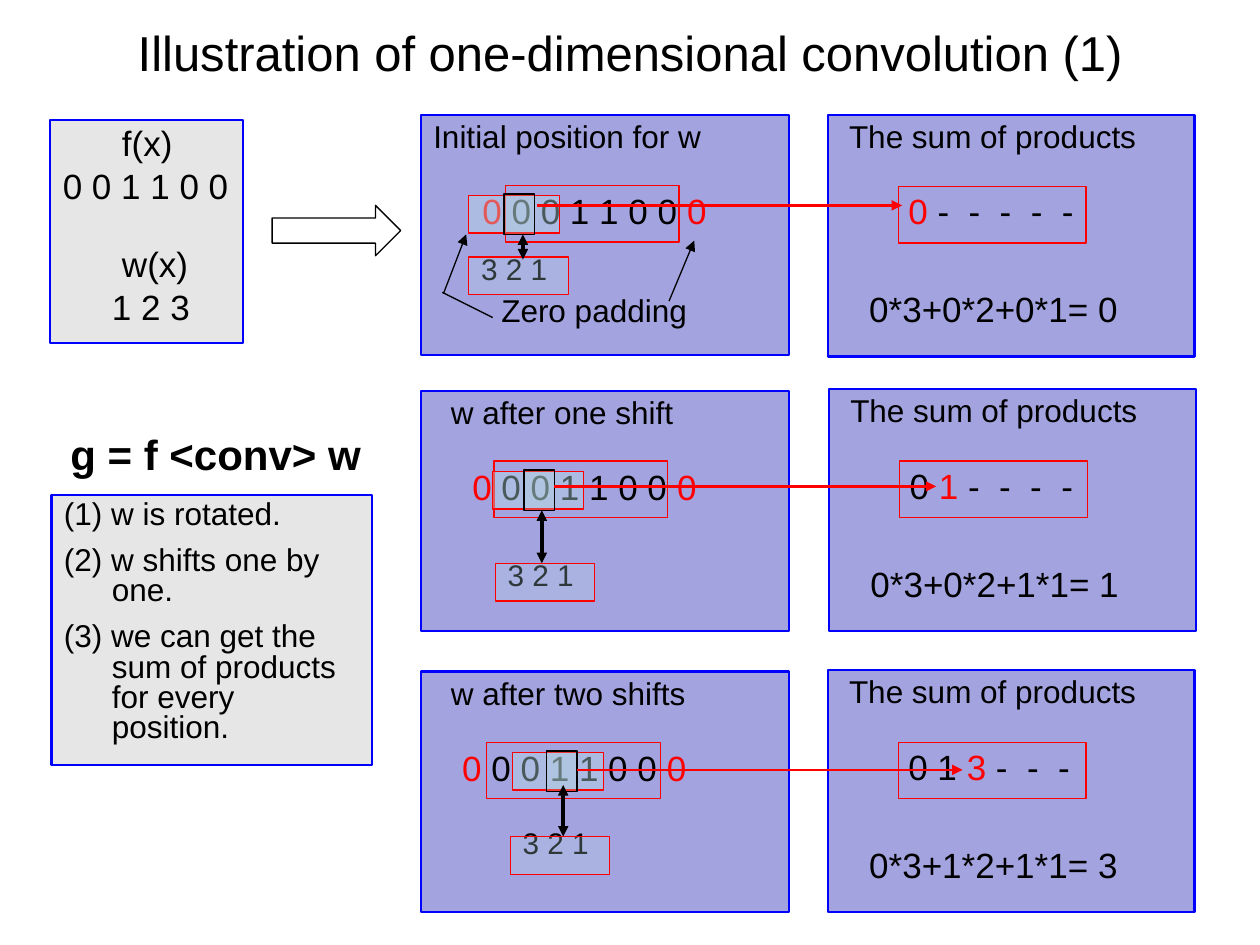
from dataclasses import dataclass
from typing import Optional

import pptx
import pptx.dml.color
import pptx.enum.shapes
import pptx.enum.text
import pptx.oxml
import pptx.oxml.ns
import pptx.util
from pptx.util import Inches

BLACK = pptx.dml.color.RGBColor(0x00, 0x00, 0x00)
RED = pptx.dml.color.RGBColor(0xFF, 0x00, 0x00)
BLUE = pptx.dml.color.RGBColor(0x00, 0x00, 0xFF)
GRAY = pptx.dml.color.RGBColor(0xE6, 0xE6, 0xE6)
LAVENDER = pptx.dml.color.RGBColor(0xA3, 0xA3, 0xE0)
AQUA = pptx.dml.color.RGBColor(0xBB, 0xE0, 0xE3)
RECT = pptx.enum.shapes.MSO_SHAPE.RECTANGLE


@dataclass(frozen=True)
class Step:
    heading: str
    heading_indent: float
    y: float
    signal_indent: float
    signal_x: float
    window_x: float
    cell_x: float
    kernel: tuple[float, float]
    kernel_text_y: float
    link: tuple[float, float, float]
    sum_at: tuple[float, float]
    done: str
    newest: str
    dashes: str
    formula: str
    arrow: tuple[float, float, float]
    note: str = ""


STEPS = [
    Step("Initial position for w", 0, 0.91, 0.39, 4.01, 3.72, 4.0,
         (3.72, 2.04), 2.04, (4.15, 1.86, 2.06), (6.57, 0.91),
         "", "0", "- - - - -", "0*3+0*2+0*1= 0", (4.26, 7.16, 1.63),
         "Zero padding"),
    Step("w after one shift", 0.14, 3.1, 0.31, 3.92, 3.91, 4.16,
         (3.93, 4.47), 4.47, (4.3, 4.05, 4.47), (6.58, 3.09),
         "0 ", "1", "- - - -", "0*3+0*2+1*1= 1", (4.4, 7.43, 3.86)),
    Step("w after two shifts", 0.14, 5.33, 0.23, 3.86, 4.07, 4.34,
         (4.05, 6.64), 6.6, (4.47, 6.23, 6.64), (6.57, 5.32),
         "0 1 ", "3", "- - -", "0*3+1*2+1*1= 3", (4.58, 7.64, 6.11)),
]


def add_text(tf, text: str, *, size: float = 20, color=BLACK, bold: bool = False,
             left: float = 0, hanging: float = 0, spacing: float = 0.8,
             before: float = 0, after: float = 0, align=None,
             tracking: float = 0, same_line: bool = False) -> None:
    if same_line:
        p = tf.paragraphs[-1]
    else:
        p = tf.paragraphs[0] if not tf.paragraphs[0].runs else tf.add_paragraph()
        pPr = p._p.get_or_add_pPr()
        pPr.set("marL", str(Inches(left)))
        pPr.set("indent", str(Inches(-hanging)))
        p.line_spacing = spacing
        p.space_before = pptx.util.Pt(before)
        p.space_after = pptx.util.Pt(after)
        p.alignment = align or pptx.enum.text.PP_ALIGN.LEFT
    r = p.add_run()
    r.text = text
    r.font.name = "Arial"
    r.font.size = pptx.util.Pt(size)
    r.font.bold = bold
    r.font.color.rgb = color
    if tracking:
        r._r.get_or_add_rPr().set("spc", str(round(tracking * 100)))


def add_box(s, x: float, y: float, w: float, h: float, *, fill=None, opacity: int = 100,
            line=RED, width: float = 0.75, kind=RECT):
    sp = s.shapes.add_shape(kind, Inches(x), Inches(y), Inches(w), Inches(h))
    sp.shadow.inherit = False
    if fill is None:
        sp.fill.background()
    else:
        sp.fill.solid()
        sp.fill.fore_color.rgb = fill
        if opacity < 100:
            clr = sp._element.spPr.find(".//" + pptx.oxml.ns.qn("a:srgbClr"))
            alpha = pptx.oxml.parse_xml(
                f'<a:alpha {pptx.oxml.ns.nsdecls("a")} val="{opacity * 1000}"/>')
            clr.append(alpha)
    sp.line.color.rgb = line
    sp.line.width = pptx.util.Pt(width)
    sp.text_frame.vertical_anchor = pptx.enum.text.MSO_ANCHOR.TOP
    return sp


def add_panel(s, x: float, y: float, w: float, h: float, fill):
    return add_box(s, x, y, w, h, fill=fill, line=BLUE, width=1.25).text_frame


def add_text_box(s, x: float, y: float, w: float, h: float):
    tf = s.shapes.add_textbox(Inches(x), Inches(y), Inches(w), Inches(h)).text_frame
    tf.word_wrap = True
    return tf


def add_line(s, x1: float, y1: float, x2: float, y2: float, *, color=BLACK,
             width: float = 0.75, ends: tuple[str, ...] = ("tailEnd",)) -> None:
    c = s.shapes.add_connector(pptx.enum.shapes.MSO_CONNECTOR.STRAIGHT,
                               Inches(x1), Inches(y1), Inches(x2), Inches(y2))
    c.line.color.rgb = color
    c.line.width = pptx.util.Pt(width)
    ns = pptx.oxml.ns.nsdecls("a")
    ln = c.line._get_or_add_ln()
    for end in ends:
        ln.append(pptx.oxml.parse_xml(f'<a:{end} {ns} type="triangle"/>'))
    c._element.spPr.append(pptx.oxml.parse_xml(f"<a:effectLst {ns}/>"))


def draw_sum(s, step: Step) -> None:
    x, y = step.sum_at
    tf = add_panel(s, x, y, 2.91, 1.92, LAVENDER)
    add_text(tf, "The sum of products", size=18, left=0.07, spacing=0.9)
    first: Optional[str] = step.done or None
    if first:
        add_text(tf, first, left=0.54, before=24.4)
    add_text(tf, step.newest, color=RED, left=0.54, before=24.4, same_line=bool(first))
    add_text(tf, " ", same_line=True)
    add_text(tf, step.dashes, tracking=2.78, same_line=True)
    add_text(tf, step.formula, left=0.23, before=36.8)


def draw_step(s, step: Step) -> None:
    draw_sum(s, step)
    tf = add_panel(s, 3.34, step.y, 2.92, 1.91, LAVENDER)
    add_text(tf, step.heading, size=18, left=step.heading_indent, spacing=0.9)
    add_text(tf, "0", color=RED, left=step.signal_indent, before=24.4)
    add_text(tf, " 0 0 1 1 0 0 ", same_line=True)
    add_text(tf, "0", color=RED, same_line=True)
    if step.note:
        add_text(tf, step.note, size=18, left=0.54, before=38.5)
    add_box(s, step.signal_x, step.y + 0.56, 1.38, 0.45)
    add_box(s, step.window_x, step.y + 0.64, 0.72, 0.3, fill=AQUA, opacity=40)
    add_box(s, step.cell_x, step.y + 0.63, 0.24, 0.32, fill=AQUA, opacity=25, line=BLACK)
    add_box(s, step.sum_at[0] + 0.56, step.sum_at[1] + 0.57, 1.49, 0.45)
    kernel_x, kernel_y = step.kernel
    tf = add_text_box(s, kernel_x, step.kernel_text_y, 0.86, 0.3)
    add_text(tf, "3 2 1", size=17, spacing=0.6)
    add_box(s, kernel_x, kernel_y, 0.79, 0.3, fill=AQUA, opacity=25)
    x1, x2, y = step.arrow
    add_line(s, x1, y, x2, y, color=RED, width=1.5)
    x, y1, y2 = step.link
    add_line(s, x, y1, x, y2, width=2, ends=("headEnd", "tailEnd"))


def main() -> None:
    prs = pptx.Presentation()
    prs.slide_width, prs.slide_height = Inches(10), Inches(7.5)
    s = prs.slides.add_slide(prs.slide_layouts[5])

    title = s.shapes.title
    title.left, title.top = Inches(0.45), Inches(0.14)
    title.width, title.height = Inches(9.1), Inches(0.54)
    title.text_frame.vertical_anchor = pptx.enum.text.MSO_ANCHOR.MIDDLE
    add_text(title.text_frame, "Illustration of one-dimensional convolution (1)",
             size=28, spacing=1.0, align=pptx.enum.text.PP_ALIGN.CENTER)

    tf = add_panel(s, 0.4, 0.95, 1.53, 1.77, GRAY)
    add_text(tf, "f(x)", left=0.47, spacing=0.9, after=5)
    add_text(tf, "0 0 1 1 0 0")
    add_text(tf, "w(x)", left=0.47, spacing=0.9, before=23.4, after=5)
    add_text(tf, "1 2 3", left=0.39)

    for step in STEPS:
        draw_step(s, step)

    add_line(s, 3.52, 2.33, 3.7, 1.86)
    add_line(s, 5.31, 2.39, 5.51, 1.91)
    add_line(s, 3.51, 2.32, 3.91, 2.52, ends=())
    add_box(s, 2.16, 1.63, 1.02, 0.4, line=BLACK,
            kind=pptx.enum.shapes.MSO_SHAPE.RIGHT_ARROW)

    tf = add_panel(s, 0.41, 3.93, 2.54, 2.14, GRAY)
    rules = ["(1) w is rotated.", "(2) w shifts one by one.",
             "(3) we can get the sum of products for every position."]
    for i, rule in enumerate(rules):
        add_text(tf, rule, size=18, left=0.38, hanging=0.38,
                 before=4.5 if i else 0, after=4.5)

    tf = add_text_box(s, 0.46, 3.35, 2.79, 0.5)
    add_text(tf, "g = f <conv> w", size=24, bold=True, spacing=1.0)
    prs.save("out.pptx")


if __name__ == "__main__":
    main()
